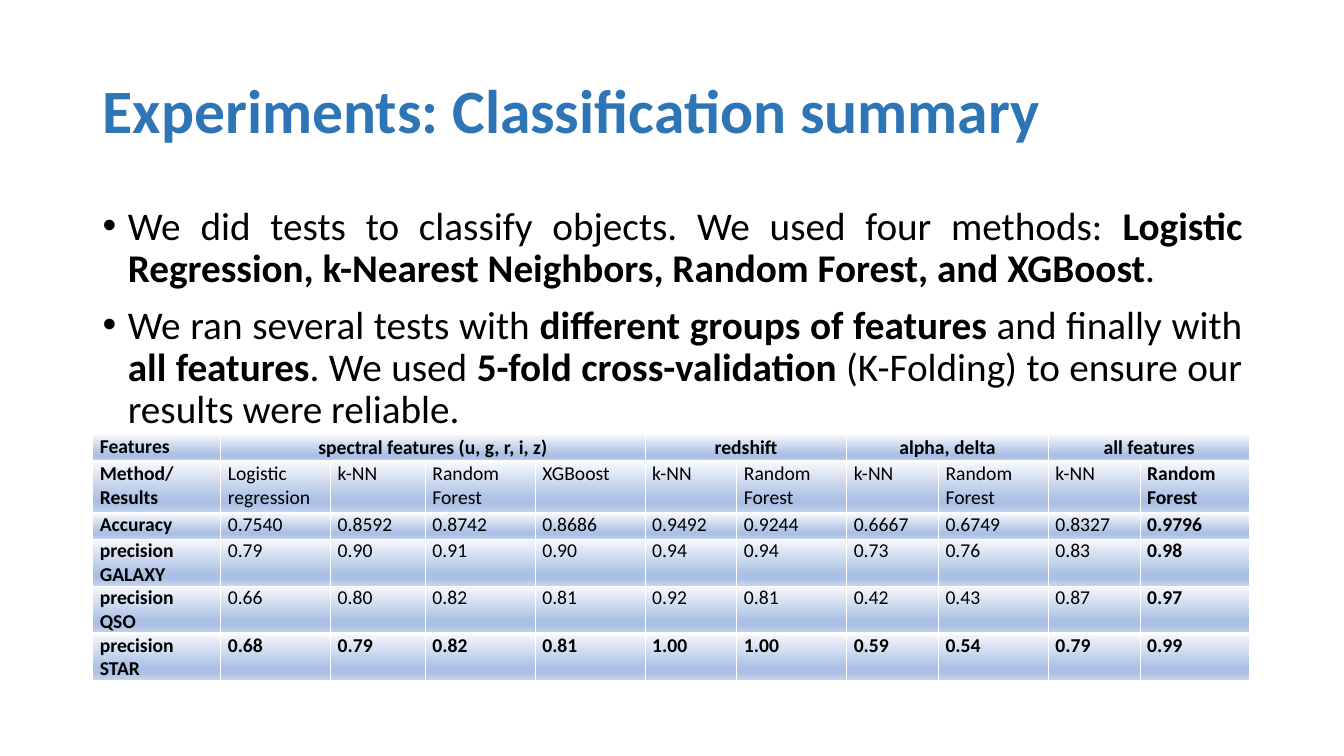
"""Build the classification summary slide with its results table."""
from lxml import etree
from pptx import Presentation
from pptx import util as u
from pptx.dml.color import RGBColor
from pptx.enum import text
from pptx.oxml import ns

TITLE_BLUE = RGBColor(0x2E, 0x75, 0xB6)
BLACK = RGBColor(0, 0, 0)
WHITE = RGBColor(0xFF, 0xFF, 0xFF)
PALE = RGBColor(0xF6, 0xF8, 0xFC)
MID = RGBColor(0xAB, 0xC0, 0xE4)
LIGHT = RGBColor(0xC7, 0xD5, 0xED)
GRADIENT = [(0, PALE), (74, MID), (83, MID), (100, LIGHT)]
FONT = "Calibri"


def add_color(parent, color):
    etree.SubElement(parent, ns.qn("a:srgbClr"), val=str(color))


def style_font(font, size, color, bold):
    font.name = FONT
    font.size = u.Pt(size)
    font.color.rgb = color
    font.bold = bold


deck = Presentation()
deck.slide_width, deck.slide_height = u.Inches(13.33), u.Inches(7.5)
slide = deck.slides.add_slide(deck.slide_layouts[5])
margin, content_width = u.Inches(0.92), u.Inches(11.5)

heading = slide.shapes.title
heading.left, heading.top = margin, u.Inches(0.4)
heading.width, heading.height = content_width, u.Inches(1.45)
heading.text_frame.text = "Experiments: Classification summary"
heading.text_frame.vertical_anchor = text.MSO_ANCHOR.MIDDLE
heading_line = heading.text_frame.paragraphs[0]
heading_line.alignment = text.PP_ALIGN.LEFT
heading_line.line_spacing = 0.9
style_font(heading_line.runs[0].font, 44, TITLE_BLUE, True)

summary_points = [
    [("We did tests to classify objects. We used four methods: ", False),
     ("Logistic Regression, k-Nearest Neighbors, Random Forest, and XGBoost", True),
     (".", False)],
    [("We ran several tests with ", False),
     ("different groups of features ", True),
     ("and finally with ", False),
     ("all features", True),
     (". We used ", False),
     ("5-fold cross-validation", True),
     (" (K-Folding) to ensure our results were reliable.", False)],
]
summary = slide.shapes.add_textbox(margin, u.Inches(2), content_width, u.Inches(4.76)).text_frame
summary.word_wrap = True
for number, phrases in enumerate(summary_points):
    point = summary.add_paragraph() if number else summary.paragraphs[0]
    point.alignment = text.PP_ALIGN.JUSTIFY
    point.line_spacing = 0.9
    if number:
        point.space_before = u.Pt(10)
    point_props = point._p.get_or_add_pPr()
    point_props.set("marL", str(u.Inches(0.25)))
    point_props.set("indent", str(-u.Inches(0.25)))
    etree.SubElement(point_props, ns.qn("a:buFont"), typeface="Arial")
    etree.SubElement(point_props, ns.qn("a:buChar"), char="•")
    for words, bold in phrases:
        phrase = point.add_run()
        phrase.text = words
        style_font(phrase.font, 28, BLACK, bold)

feature_groups = [("spectral features (u, g, r, i, z)", 4), ("redshift", 2),
                  ("alpha, delta", 2), ("all features", 2)]
pair = ["k-NN", "Random Forest"]
group_row = ["Features"]
for group, span in feature_groups:
    group_row += [group] + [""] * (span - 1)
results = [
    group_row,
    ["Method/ Results", "Logistic regression", *pair, "XGBoost", *pair * 3],
    ["Accuracy", "0.7540", "0.8592", "0.8742", "0.8686", "0.9492",
     "0.9244", "0.6667", "0.6749", "0.8327", "0.9796"],
    ["precision GALAXY", "0.79", "0.90", "0.91", "0.90", "0.94",
     "0.94", "0.73", "0.76", "0.83", "0.98"],
    ["precision QSO", "0.66", "0.80", "0.82", "0.81", "0.92",
     "0.81", "0.42", "0.43", "0.87", "0.97"],
    ["precision STAR", "0.68", "0.79", "0.82", "0.81", "1.00",
     "1.00", "0.59", "0.54", "0.79", "0.99"],
]
column_widths = [1.27, 1.09, 0.94, 1.09, 1.09] + [0.91, 1.09] * 3
row_heights = [0.27, 0.51, 0.26, 0.42, 0.42, 0.42]
last_row, last_column = len(row_heights) - 1, len(column_widths) - 1

grid = slide.shapes.add_table(len(row_heights), len(column_widths), margin, u.Inches(4.31),
                              content_width, u.Inches(2.44)).table
for column, width in zip(grid.columns, column_widths):
    column.width = u.Inches(width)
for row, height in zip(grid.rows, row_heights):
    row.height = u.Inches(height)

first = 1
for group, span in feature_groups:
    grid.cell(0, first).merge(grid.cell(0, first + span - 1))
    first += span

for r, values in enumerate(results):
    for c, value in enumerate(values):
        cell = grid.cell(r, c)
        group_cell = r == 0 and c > 0
        cell.margin_left = cell.margin_right = u.Inches(0.07)
        cell.margin_top = cell.margin_bottom = 0
        cell.vertical_anchor = text.MSO_ANCHOR.MIDDLE if group_cell else text.MSO_ANCHOR.TOP
        cell.text_frame.text = value
        entry = cell.text_frame.paragraphs[0]
        entry.alignment = text.PP_ALIGN.CENTER if group_cell else text.PP_ALIGN.JUSTIFY
        bold = r in (0, last_row) or c in (0, last_column)
        style_font(entry.font, 14, BLACK, bold)
        for run in entry.runs:
            style_font(run.font, 14, BLACK, bold)

        cell_props = cell._tc.get_or_add_tcPr()
        for side in "LRTB":
            thick = (r, side) in ((0, "B"), (last_row, "T"))
            border = etree.SubElement(cell_props, ns.qn(f"a:ln{side}"),
                                      w=str(u.Pt(3 if thick else 1)))
            add_color(etree.SubElement(border, ns.qn("a:solidFill")), WHITE)
        gradient = etree.SubElement(cell_props, ns.qn("a:gradFill"), rotWithShape="1")
        stops = etree.SubElement(gradient, ns.qn("a:gsLst"))
        for share, color in GRADIENT:
            add_color(etree.SubElement(stops, ns.qn("a:gs"), pos=str(share * 1000)), color)
        etree.SubElement(gradient, ns.qn("a:lin"), ang=str(90 * 60000), scaled="0")

deck.save("out.pptx")
